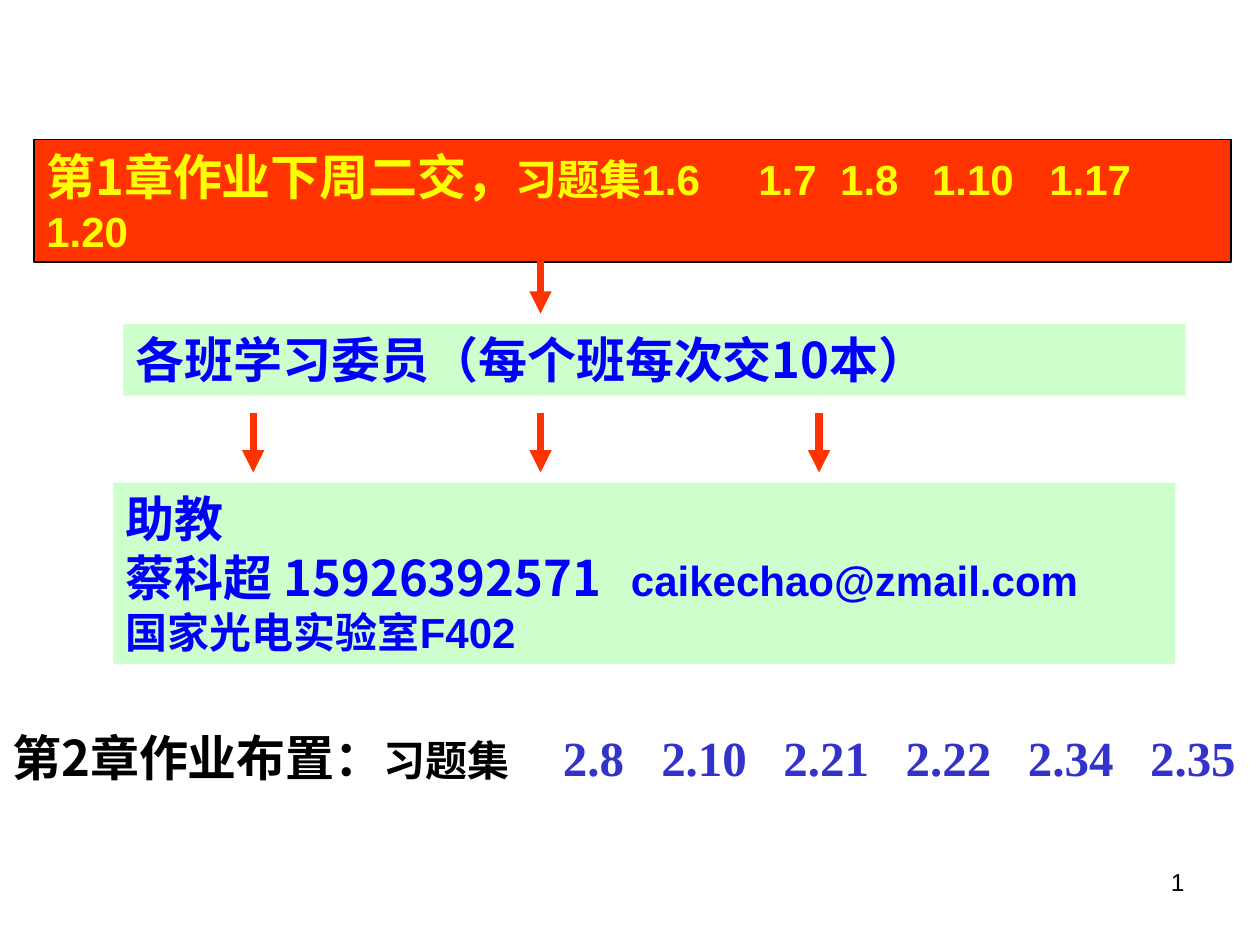
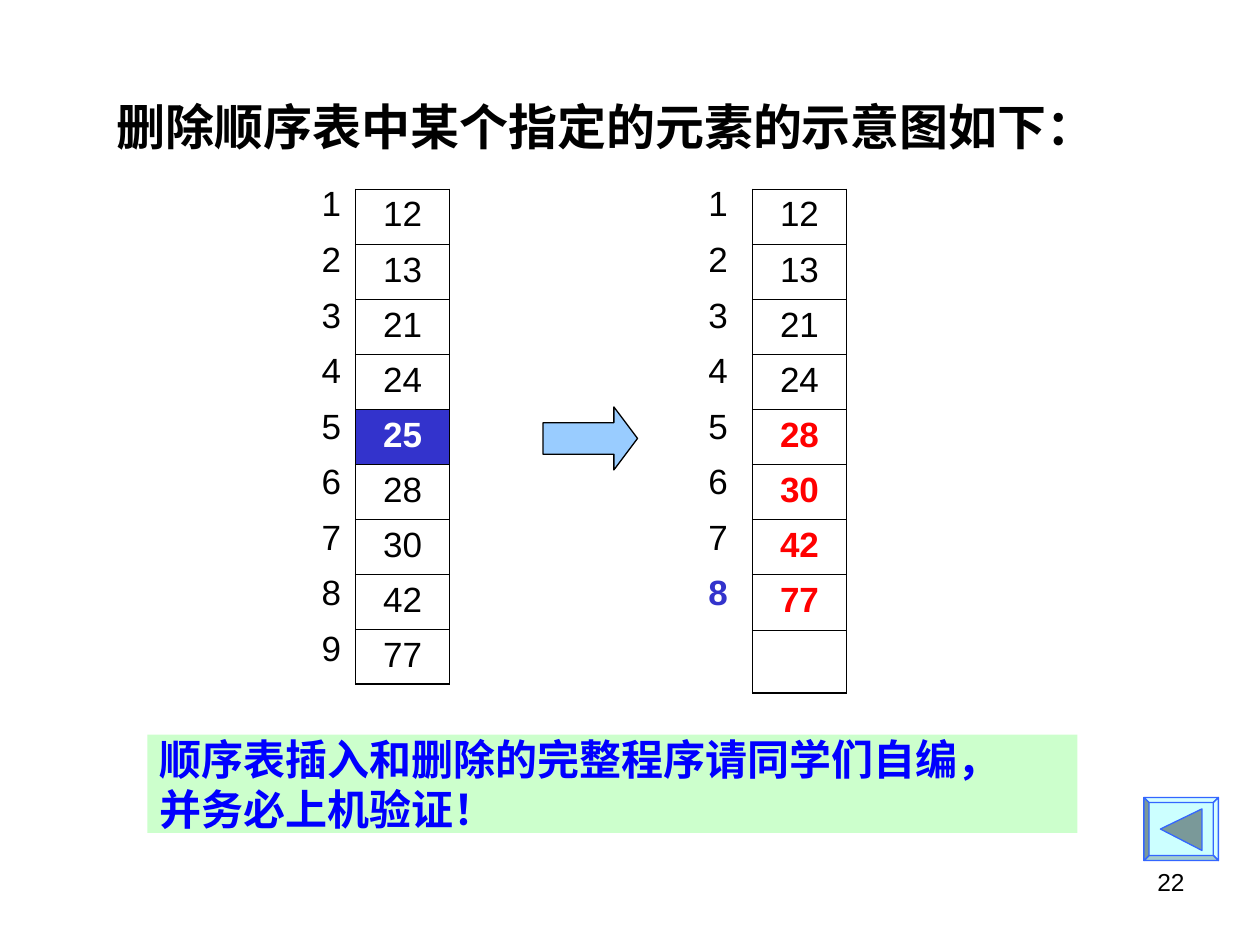
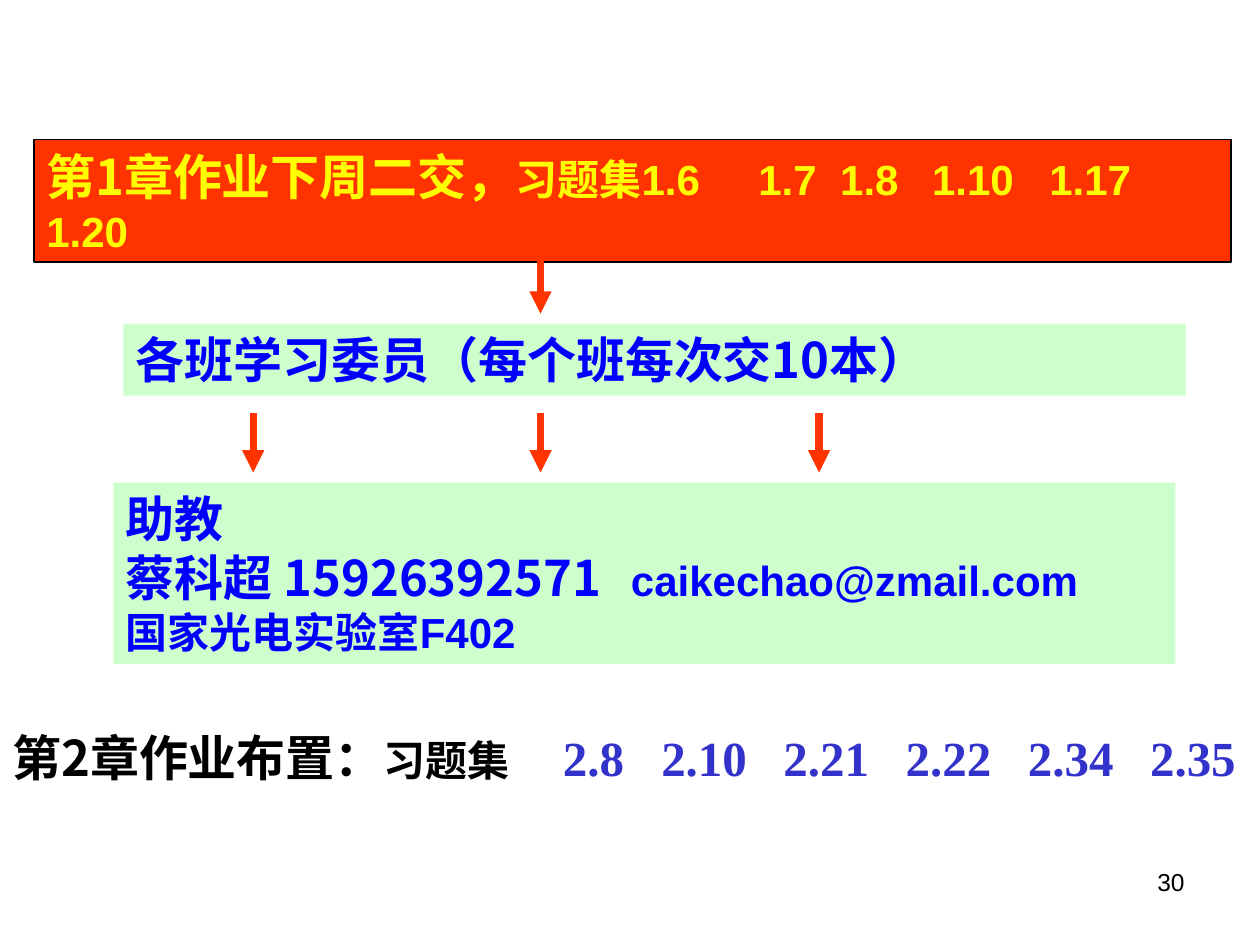
from dataclasses import dataclass

from lxml import etree
from pptx import Presentation
from pptx.dml.color import RGBColor
from pptx.enum.shapes import MSO_CONNECTOR, MSO_SHAPE
from pptx.enum.text import MSO_ANCHOR, PP_ALIGN
from pptx.oxml.ns import qn
from pptx.util import Inches, Pt

RECT, RIGHT_ARROW = MSO_SHAPE.RECTANGLE, MSO_SHAPE.RIGHT_ARROW
STRAIGHT = MSO_CONNECTOR.STRAIGHT
TOP, MIDDLE = MSO_ANCHOR.TOP, MSO_ANCHOR.MIDDLE
LEFT, CENTER, RIGHT = PP_ALIGN.LEFT, PP_ALIGN.CENTER, PP_ALIGN.RIGHT

# Shared look
CJK, ARIAL, TIMES = "Noto Sans CJK SC", "Arial", "Times New Roman"
BLACK, WHITE, RED = "000000", "FFFFFF", "FF0000"
ORANGE, YELLOW, MINT, BLUE, INDIGO = "FF3300", "FFFF00", "CCFFCC", "0000FF", "3333CC"
SKY, EDGE_BLUE = "99CCFF", "3366FF"
FACE, LIGHT, SHADE, DARK = "CCFFFF", "D6FFFF", "A3CCCC", "7A9999"


@dataclass(frozen=True)
class Run:
    text: str
    size: float
    color: str = BLACK
    font: str = CJK
    bold: bool = True


@dataclass(frozen=True)
class Box:
    x: float
    y: float
    w: float
    h: float
    paragraphs: list[list[Run]]
    fill: str | None = None
    line: str | None = None
    anchor: MSO_ANCHOR = TOP
    align: PP_ALIGN = LEFT
    tabs: tuple[float, ...] = ()


@dataclass(frozen=True)
class Column:
    """One-column table; marked maps a row to its text colour."""
    x: float
    y: float
    w: float
    h: float
    values: list[str]
    marked: dict[int, str]
    boxed: bool = True
    filled_row: int | None = None
    last_row: float | None = None


def rgb(color: str) -> RGBColor:
    return RGBColor.from_string(color)


def paint(sp, fill: str, line: str | None) -> None:
    sp.shadow.inherit = False
    sp.fill.solid()
    sp.fill.fore_color.rgb = rgb(fill)
    if line:
        sp.line.color.rgb = rgb(line)
        sp.line.width = Pt(0.75)
    else:
        sp.line.fill.background()


def write(p, runs: list[Run], align: PP_ALIGN = LEFT, tabs: tuple[float, ...] = ()) -> None:
    p.alignment = align
    if tabs:
        stops = etree.SubElement(p._p.get_or_add_pPr(), qn("a:tabLst"))
        for stop in tabs:
            etree.SubElement(stops, qn("a:tab"), pos=str(Inches(stop)), algn="l")
    for run in runs:
        r = p.add_run()
        r.text = run.text
        r.font.name, r.font.size, r.font.bold = run.font, Pt(run.size), run.bold
        r.font.color.rgb = rgb(run.color)
        latin = r._r.rPr.find(qn("a:latin"))
        latin.addnext(latin.makeelement(qn("a:ea"), {"typeface": CJK}))


def add_box(s, box: Box) -> None:
    place = [Inches(v) for v in (box.x, box.y, box.w, box.h)]
    if box.fill:
        sp = s.shapes.add_shape(RECT, *place)
        paint(sp, box.fill, box.line)
    else:
        sp = s.shapes.add_textbox(*place)
    tf = sp.text_frame
    tf.word_wrap = True
    tf.vertical_anchor = box.anchor
    for i, runs in enumerate(box.paragraphs):
        p = tf.add_paragraph() if i else tf.paragraphs[0]
        write(p, runs, box.align, box.tabs)


def add_page_number(s, number: int) -> None:
    label = Run(str(number), 14, font=ARIAL, bold=False)
    add_box(s, Box(7.17, 6.83, 2.33, 0.52, [[label]], align=RIGHT))


def add_down_arrow(s, x: float, y: float) -> None:
    line = s.shapes.add_connector(STRAIGHT, Inches(x), Inches(y), Inches(x), Inches(y + 0.47))
    line.line.color.rgb = rgb(ORANGE)
    line.line.width = Pt(4.25)
    etree.SubElement(line.line._get_or_add_ln(), qn("a:tailEnd"), type="triangle")
    etree.SubElement(line._element.spPr, qn("a:effectLst"))


def add_border(cell, last: bool) -> None:
    tc_pr = cell._tc.get_or_add_tcPr()
    for side in "LRTB":
        width = 1.08 if last and side == "B" else 0.45
        ln = etree.SubElement(tc_pr, qn(f"a:ln{side}"), w=str(Pt(width)))
        fill = etree.SubElement(ln, qn("a:solidFill"))
        etree.SubElement(fill, qn("a:srgbClr"), val=BLACK)


def add_column(s, column: Column) -> None:
    count = len(column.values)
    place = [Inches(v) for v in (column.x, column.y, column.w, column.h)]
    table = s.shapes.add_table(count, 1, *place).table
    table.first_row = table.horz_banding = False
    if column.last_row:
        table.rows[count - 1].height = Inches(column.last_row)
    for i, value in enumerate(column.values):
        cell = table.cell(i, 0)
        if column.boxed:
            add_border(cell, i == count - 1)
            cell.fill.solid()
            cell.fill.fore_color.rgb = rgb(INDIGO if i == column.filled_row else WHITE)
        else:
            cell.fill.background()
        if value:
            color = column.marked.get(i, BLACK)
            run = Run(value, 20, color, ARIAL, i in column.marked)
            write(cell.text_frame.paragraphs[0], [run], CENTER)


def add_back_button(s) -> None:
    left, top, right, bottom, bevel = 9.08, 6.33, 9.67, 6.83, 0.04
    outer = [(left, top), (right, top), (right, bottom), (left, bottom)]
    inner = [(left + bevel, top + bevel), (right - bevel, top + bevel),
             (right - bevel, bottom - bevel), (left + bevel, bottom - bevel)]
    facets = [(FACE, outer)]
    for i, color in enumerate((LIGHT, LIGHT, SHADE, DARK)):
        j = (i + 1) % 4
        facets.append((color, [outer[i], outer[j], inner[j], inner[i]]))
    facets.append((DARK, [(9.54, 6.42), (9.21, 6.58), (9.54, 6.75)]))
    for color, points in facets:
        corners = [(Inches(x), Inches(y)) for x, y in points]
        builder = s.shapes.build_freeform(*corners[0])
        builder.add_line_segments(corners[1:], close=True)
        paint(builder.convert_to_shape(), color, EDGE_BLUE)


def build_homework(s, number: int) -> None:
    # Homework due, and homework set
    due = [Run("第1章作业下周二交，", 28, YELLOW),
           Run("习题集1.6\t1.7\t1.8\t1.10\t1.17\t1.20", 24, YELLOW, ARIAL)]
    add_box(s, Box(0.27, 1.11, 9.5, 0.97, [due], ORANGE, BLACK, MIDDLE,
                   tabs=(5.65, 6.3, 7.03, 7.96, 8.9)))
    assigned = [Run("第2章作业布置：", 28), Run("习题集\t", 24, font=ARIAL),
                Run("2.8\t2.10\t2.21\t2.22\t2.34\t2.35", 28, INDIGO, TIMES)]
    add_box(s, Box(0, 5.72, 10, 0.57, [assigned], anchor=MIDDLE,
                   tabs=(4.37, *(5.15 + 0.97 * i for i in range(5)))))

    # Who collects it
    assistant = [[Run("助教", 28, BLUE)],
                 [Run("蔡科超 15926392571\t", 28, BLUE),
                  Run("caikechao@zmail.com", 24, BLUE, ARIAL)],
                 [Run("国家光电实验室F402", 24, BLUE, ARIAL)]]
    add_box(s, Box(0.9, 3.83, 8.43, 1.44, assistant, MINT, tabs=(4.01,)))
    for x, y in ((2.01, 3.28), (4.29, 3.28), (6.5, 3.28), (4.29, 2.02)):
        add_down_arrow(s, x, y)
    monitors = [Run("各班学习委员（每个班每次交10本）", 28, BLUE)]
    add_box(s, Box(0.98, 2.57, 8.43, 0.57, [monitors], MINT))
    add_page_number(s, number)


def build_deletion(s, number: int) -> None:
    # List before and after the deletion, with positions
    positions = [str(i) for i in range(1, 10)]
    before = "12 13 21 24 25 28 30 42 77".split()
    deleted = before.index("25")
    after = before[:deleted] + before[deleted + 1:] + [""]
    moved = {i: RED for i in range(deleted, 8)}
    for column in (
        Column(2.42, 1.42, 0.42, 3.97, positions, {}, boxed=False),
        Column(2.82, 1.5, 0.75, 3.93, before, {deleted: WHITE}, filled_row=deleted),
        Column(5.49, 1.42, 0.42, 3.97, positions[:8] + [""], {7: INDIGO}, boxed=False),
        Column(5.97, 1.5, 0.75, 3.94, after, moved, last_row=0.5),
    ):
        add_column(s, column)
    arrow = s.shapes.add_shape(RIGHT_ARROW, Inches(4.31), Inches(3.23), Inches(0.75), Inches(0.5))
    arrow.adjustments[0], arrow.adjustments[1] = 0.5, 0.375
    paint(arrow, SKY, BLACK)

    # Title, task and navigation
    title = [Run("删除顺序表中某个指定的元素的示意图如下：", 28)]
    add_box(s, Box(0.83, 0.72, 7.72, 0.57, [title]))
    task = [[Run(text, 24, BLUE)] for text in
            ("顺序表插入和删除的完整程序请同学们自编，", "并务必上机验证！")]
    add_box(s, Box(1.17, 5.83, 7.38, 0.78, task, MINT, anchor=MIDDLE))
    add_back_button(s)
    add_page_number(s, number)


def main() -> None:
    prs = Presentation()
    prs.slide_width, prs.slide_height = Inches(10), Inches(7.5)
    for build, number in ((build_homework, 1), (build_deletion, 22), (build_homework, 30)):
        build(prs.slides.add_slide(prs.slide_layouts[6]), number)
    prs.save("out.pptx")


if __name__ == "__main__":
    main()
